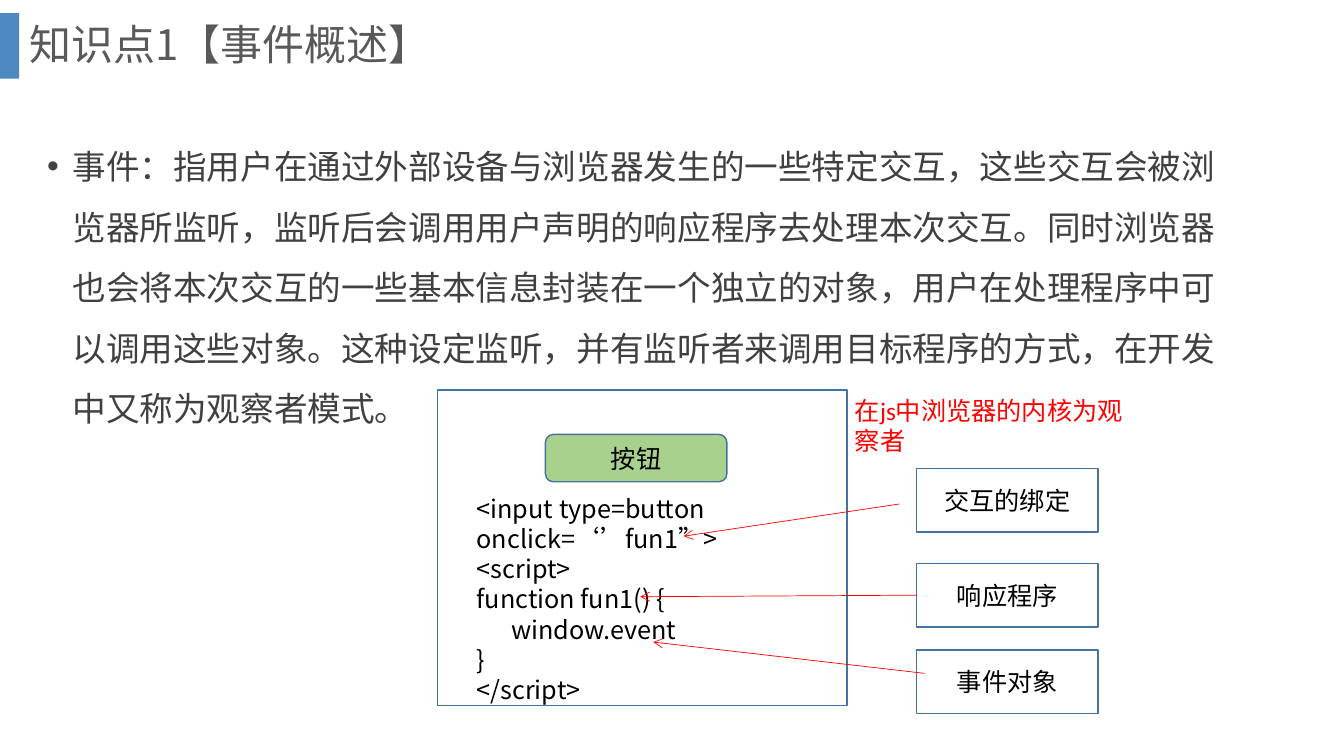
from dataclasses import dataclass

from lxml import etree
from pptx import Presentation
from pptx.dml.color import RGBColor
from pptx.enum.shapes import MSO_CONNECTOR, MSO_SHAPE
from pptx.enum.text import MSO_ANCHOR, PP_ALIGN
from pptx.oxml.ns import qn
from pptx.util import Inches, Pt

RECT, ROUND = MSO_SHAPE.RECTANGLE, MSO_SHAPE.ROUNDED_RECTANGLE
STRAIGHT = MSO_CONNECTOR.STRAIGHT
TOP, MIDDLE = MSO_ANCHOR.TOP, MSO_ANCHOR.MIDDLE
LEFT, CENTER = PP_ALIGN.LEFT, PP_ALIGN.CENTER


@dataclass(frozen=True)
class Theme:
    accent: str = "2E75B6"
    edge: str = "43739E"
    green: str = "A9D18E"
    red: str = "FF0000"
    black: str = "000000"
    body: str = "404040"
    head: str = "595959"
    sans: str = "Noto Sans CJK SC"
    latin: str = "Calibri"
    title: int = 30
    text: int = 24
    small: int = 18


THEME = Theme()

BODY = (
    "事件：指用户在通过外部设备与浏览器发生的一些特定交互，这些交互会被浏览器所监听，"
    "监听后会调用用户声明的响应程序去处理本次交互。同时浏览器也会将本次交互的一些基本信息"
    "封装在一个独立的对象，用户在处理程序中可以调用这些对象。这种设定监听，"
    "并有监听者来调用目标程序的方式，在开发中又称为观察者模式。"
)
CODE = [
    "<input type=button onclick=‘’fun1”>",
    "<script>",
    "function fun1() {",
    "window.event",
    "}",
    "</script>",
]
# Label, top of its box, arrow start and arrow tip (no start: joined to the box)
NOTES = [
    ("交互的绑定", 4.65, (8.92, 5), (6.78, 5.32)),
    ("响应程序", 5.59, None, (6.35, 5.92)),
    ("事件对象", 6.45, (9.17, 6.68), (6.48, 6.37)),
]


def rgb(color):
    return RGBColor.from_string(color)


def inch(*nums):
    return [Inches(num) for num in nums]


def write(shape, lines, size, color, font, align=LEFT, anchor=TOP):
    """Fill a shape with paragraphs in one style."""
    frame = shape.text_frame
    frame.word_wrap = True
    frame.vertical_anchor = anchor
    frame.text = "\n".join(lines)
    for para in frame.paragraphs:
        para.alignment = align
        for run in para.runs:
            run.font.size = Pt(size)
            run.font.name = font
            run.font.color.rgb = rgb(color)
            east = etree.SubElement(run.font._element, qn("a:ea"))
            east.set("typeface", THEME.sans)
    return frame.paragraphs


def text(slide, box, *style, **place):
    return write(slide.shapes.add_textbox(*inch(*box)), *style, **place)


def panel(slide, box, kind=RECT, fill=None, label=None):
    """Draw an outlined box, with a centred label if given."""
    shape = slide.shapes.add_shape(kind, *inch(*box))
    shape.shadow.inherit = False
    shape.line.color.rgb = rgb(THEME.edge)
    shape.line.width = Pt(1)
    if fill:
        shape.fill.solid()
        shape.fill.fore_color.rgb = rgb(fill)
    else:
        shape.fill.background()
    if label:
        write(shape, [label], THEME.small, THEME.black, THEME.latin,
              align=CENTER, anchor=MIDDLE)
    return shape


def arrow(slide, start, tip, source=None):
    """Draw a thin red arrow, joined to the left side of a source box."""
    line = slide.shapes.add_connector(STRAIGHT, *inch(*start, *tip))
    if source is not None:
        line.begin_connect(source, 1)
    line.line.color.rgb = rgb(THEME.red)
    line.line.width = Pt(0.5)
    end = etree.SubElement(line.line._get_or_add_ln(), qn("a:tailEnd"))
    end.set("type", "arrow")
    etree.SubElement(line._element.spPr, qn("a:effectLst"))


def header(slide, box):
    """Accent bar at the left edge, then the title."""
    left, top, width, height = box
    bar = slide.shapes.add_shape(RECT, *inch(left, top + 0.13, 0.19, 0.65))
    bar.shadow.inherit = False
    bar.line.fill.background()
    bar.fill.solid()
    bar.fill.fore_color.rgb = rgb(THEME.accent)
    tint = bar._element.spPr.find(".//" + qn("a:srgbClr"))
    etree.SubElement(tint, qn("a:alpha")).set("val", "85000")
    para = text(slide, (left + 0.19, top, width - 0.19, height),
                ["知识点1【事件概述】"], THEME.title, THEME.head, THEME.sans,
                anchor=MIDDLE)[0]
    para.line_spacing = 0.9


def body(slide, box):
    """Bulleted definition with a hanging indent."""
    para = text(slide, box, [BODY], THEME.text, THEME.body, THEME.sans)[0]
    para.line_spacing = 1.5
    para.space_before = Pt(10)
    props = para._p.get_or_add_pPr()
    props.set("marL", str(Inches(0.25)))
    props.set("indent", str(Inches(-0.25)))
    etree.SubElement(props, qn("a:buFont")).set("typeface", "Arial")
    etree.SubElement(props, qn("a:buChar")).set("char", "•")


def sample(slide, box):
    """Framed button with the code behind it."""
    left, top, width, height = box
    panel(slide, box)
    panel(slide, (left + 1.07, top + 0.44, 1.8, 0.47), ROUND, THEME.green, "按钮")
    lines = text(slide, (left + 0.29, top + 0.97, width - 0.47, 2.42),
                 CODE, THEME.small, THEME.black, THEME.sans)
    lines[3]._p.get_or_add_pPr().set("marL", str(Inches(0.34)))


def notes(slide, box):
    """Red remark above the labels that point into the code."""
    left, top, width, height = box
    text(slide, (left, top, width, 0.71), ["在js中浏览器的内核为观察者"],
         THEME.small, THEME.red, THEME.latin)
    for label, row, start, tip in NOTES:
        part = panel(slide, (left + 0.71, row, 1.8, 0.63), label=label)
        if start:
            arrow(slide, start, tip)
        else:
            arrow(slide, (left + 0.71, row + 0.31), tip, part)


def main():
    deck = Presentation()
    deck.slide_width, deck.slide_height = inch(13.33, 7.5)
    slide = deck.slides.add_slide(deck.slide_layouts[6])
    header(slide, (0, 0, 12.85, 0.93))
    body(slide, (0.37, 1.2, 12.05, 5.46))
    sample(slide, (4.34, 3.87, 4.06, 3.13))
    notes(slide, (8.38, 3.87, 2.89, 3.21))
    deck.save("out.pptx")


if __name__ == "__main__":
    main()
